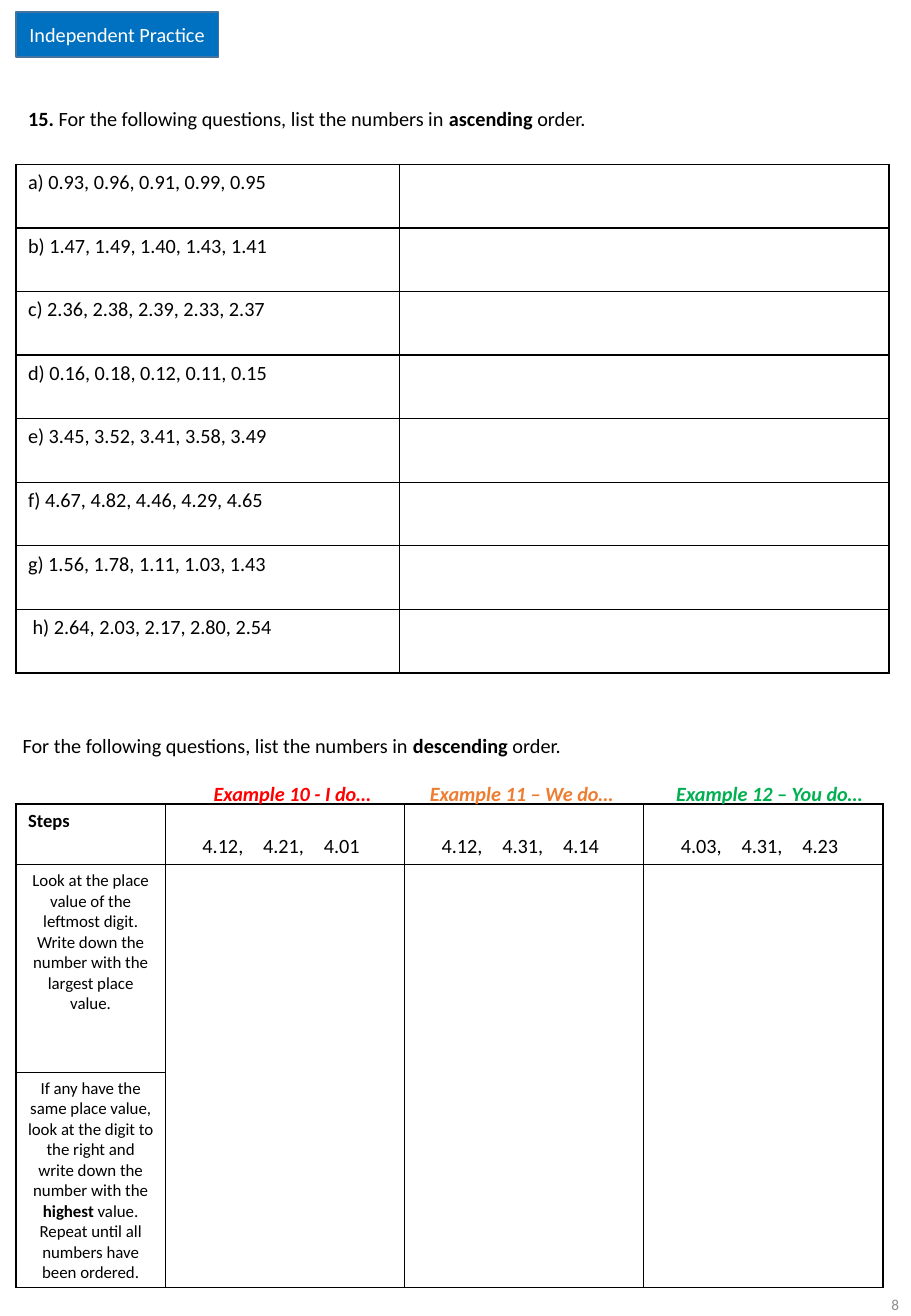
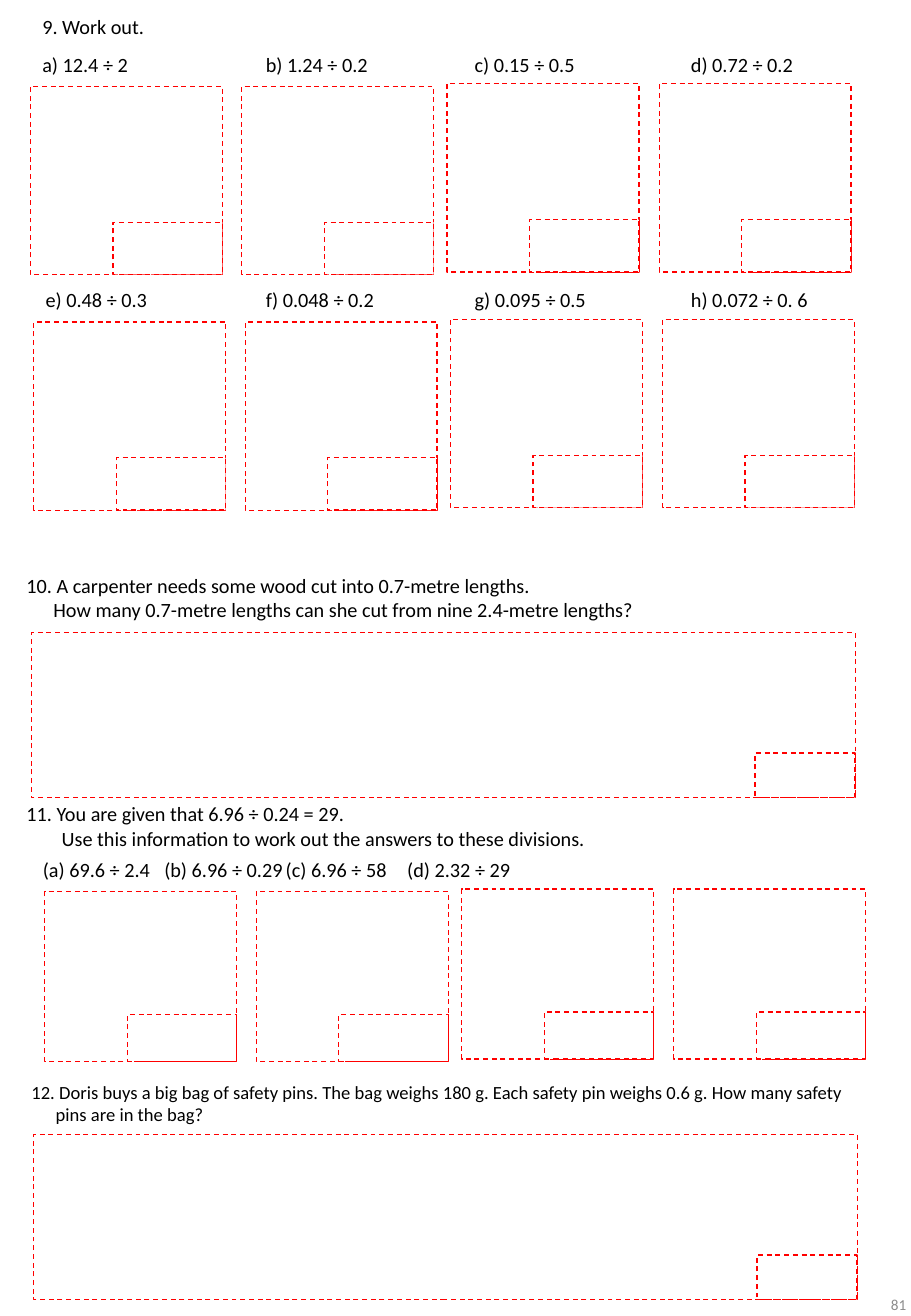
from dataclasses import dataclass

from lxml import etree
from pptx import Presentation
from pptx.dml.color import RGBColor
from pptx.enum import dml, shapes, text
from pptx.oxml import ns
from pptx.util import Pt


@dataclass(frozen=True)
class Theme:
    font: str = "Calibri"
    ink: str = "000000"
    paper: str = "FFFFFF"
    muted: str = "8C8C8C"
    badge: str = "0070C0"
    badge_line: str = "43739E"
    answer: str = "FF0000"
    i_do: str = "FF0000"
    we_do: str = "ED7D31"
    you_do: str = "00B050"
    body: float = 12
    small: float = 11
    step: float = 10
    page: float = 9


T = Theme()
LEFT, CENTER, RIGHT = text.PP_ALIGN.LEFT, text.PP_ALIGN.CENTER, text.PP_ALIGN.RIGHT
TOP, MIDDLE, BOTTOM = (text.MSO_ANCHOR.TOP, text.MSO_ANCHOR.MIDDLE,
                       text.MSO_ANCHOR.BOTTOM)


def rgb(value):
    return RGBColor.from_string(value)


# Text: "**" switches bold on and off
def write(p, content, size=T.body, color=T.ink, align=LEFT, bold=False,
          italic=False, margin=0, indent=0, tabs=()):
    pPr = p._p.get_or_add_pPr()
    pPr.set("marL", str(Pt(margin)))
    pPr.set("indent", str(Pt(indent)))
    if tabs:
        tab_list = etree.SubElement(pPr, ns.qn("a:tabLst"))
        for pos in tabs:
            etree.SubElement(tab_list, ns.qn("a:tab"), pos=str(Pt(pos)), algn="l")
    p.alignment = align
    for i, part in enumerate(content.split("**")):
        if not part:
            continue
        r = p.add_run()
        r.text = part
        font = {"name": T.font, "size": Pt(size), "bold": bold or i % 2 == 1,
                "italic": italic}
        for name, value in font.items():
            setattr(r.font, name, value)
        r.font.color.rgb = rgb(color)


def text_box(s, x, y, w, h, *paragraphs, anchor=TOP, **fmt):
    """Each paragraph is a string or a (string, paragraph format) pair."""
    tf = s.shapes.add_textbox(Pt(x), Pt(y), Pt(w), Pt(h)).text_frame
    tf.word_wrap = True
    tf.vertical_anchor = anchor
    for i, item in enumerate(paragraphs):
        content, extra = (item, {}) if isinstance(item, str) else item
        p = tf.add_paragraph() if i else tf.paragraphs[0]
        write(p, content, **{**fmt, **extra})


def page_number(s, x, number):
    text_box(s, x, 752.4, 121.7, 41.8, number, anchor=MIDDLE, size=T.page,
             color=T.muted, align=RIGHT)


# Rectangles
def rect(parent, x, y, w, h, fill, line, width, dash=None):
    sp = parent.shapes.add_shape(shapes.MSO_SHAPE.RECTANGLE,
                                 Pt(x), Pt(y), Pt(w), Pt(h))
    sp.shadow.inherit = False
    if fill:
        sp.fill.solid()
        sp.fill.fore_color.rgb = rgb(fill)
    else:
        sp.fill.background()
    sp.line.color.rgb = rgb(line)
    sp.line.width = Pt(width)
    if dash:
        sp.line.dash_style = dash
    return sp


def answer_panel(group, x, y, w, h, answer_w, answer_h, fill=None):
    """Working space with an answer box in its lower right corner."""
    for bw, bh in ((w, h), (answer_w, answer_h)):
        rect(group, x + w - bw, y + h - bh, bw, bh, fill, T.answer, 0.75,
             dml.MSO_LINE.DASH)


def panel_row(s, x, y, h, answer_h, fill=None):
    group = s.shapes.add_group_shape()
    for dx, dy in ((0, 0), (125.3, 0), (247, -1.5), (372.7, -1.5)):
        answer_panel(group, x + dx, y + dy, 113.8, h, 64.8, answer_h, fill)


def wide_panel(s, x, y):
    answer_panel(s.shapes.add_group_shape(), x, y, 488.2, 97.9, 59.3, 26.6)


# Tables
def table(s, x, y, cols, rows):
    frame = s.shapes.add_table(len(rows), len(cols), Pt(x), Pt(y),
                               Pt(sum(cols)), Pt(sum(rows)))
    tb = frame.table
    tb.first_row = tb.horz_banding = False
    for col, w in zip(tb.columns, cols):
        col.width = Pt(w)
    for row, h in zip(tb.rows, rows):
        row.height = Pt(h)
    return tb


def style_cell(cell, sides):
    """White cell with black lines on the given sides (of L, R, T, B)."""
    tcPr = cell._tc.get_or_add_tcPr()
    for side in "LRTB":
        ln = etree.SubElement(tcPr, ns.qn(f"a:ln{side}"), w=str(Pt(1)))
        if side in sides:
            fill = etree.SubElement(ln, ns.qn("a:solidFill"))
            etree.SubElement(fill, ns.qn("a:srgbClr"), val=T.ink)
        else:
            etree.SubElement(ln, ns.qn("a:noFill"))
    cell.fill.solid()
    cell.fill.fore_color.rgb = rgb(T.paper)


def style_table(tb, head_sides):
    """head_sides gives the lines of the leading rows; the rest are boxed."""
    for i, row in enumerate(tb.rows):
        for cell in row.cells:
            style_cell(cell, head_sides[i] if i < len(head_sides) else "LRTB")


def cell_text(cell, content, **fmt):
    write(cell.text_frame.paragraphs[0], content, **fmt)


def ordering_slide(prs):
    s = prs.slides.add_slide(prs.slide_layouts[6])
    page_number(s, 418.3, "8")

    # Ascending questions
    questions = ["a) 0.93, 0.96, 0.91, 0.99, 0.95", "b) 1.47, 1.49, 1.40, 1.43, 1.41",
                 "c) 2.36, 2.38, 2.39, 2.33, 2.37", "d) 0.16, 0.18, 0.12, 0.11, 0.15",
                 "e) 3.45, 3.52, 3.41, 3.58, 3.49", "f) 4.67, 4.82, 4.46, 4.29, 4.65",
                 "g) 1.56, 1.78, 1.11, 1.03, 1.43", " h) 2.64, 2.03, 2.17, 2.80, 2.54"]
    tb = table(s, 9.4, 28.1, [227.5, 290.2], [31.7] + [37.7] * 9)
    style_table(tb, ["", "B"])
    for i in range(2):
        tb.cell(i, 0).merge(tb.cell(i, 1))
    cell_text(tb.cell(1, 0), "**15. **For the following questions, list the numbers "
                             "in **ascending** order.")
    for i, question in enumerate(questions, 2):
        cell_text(tb.cell(i, 0), question)

    # Badge
    badge = rect(s, 9.4, 7.2, 120.2, 26.6, T.badge, T.badge_line, 1)
    tf = badge.text_frame
    tf.margin_left = tf.margin_right = Pt(3.6)
    tf.vertical_anchor = MIDDLE
    write(tf.paragraphs[0], "Independent Practice", color=T.paper, align=CENTER)

    # Descending examples
    tb = table(s, 9.4, 404.6, [88.6] + [141.8] * 3, [33.1, 38.9, 36, 123.1, 127.4])
    style_table(tb, ["", "B"])
    tb.cell(0, 0).merge(tb.cell(0, 3))
    tb.cell(1, 1).merge(tb.cell(1, 3))
    cell_text(tb.cell(2, 0), "Steps", size=T.small, bold=True)
    numbers = ["4.12,\t4.21,\t4.01", "4.12,\t4.31,\t4.14", "4.03,\t4.31,\t4.23"]
    for j, content in enumerate(numbers, 1):
        cell = tb.cell(2, j)
        cell.vertical_anchor = BOTTOM
        cell.margin_left = Pt(22)
        cell_text(cell, content, tabs=(38, 76))
        tb.cell(3, j).merge(tb.cell(4, j))
    steps = ["Look at the place value of the leftmost digit. Write down the number "
             "with the largest place value.",
             "If any have the same place value, look at the digit to the right and "
             "write down the number with the **highest** value. Repeat until all "
             "numbers have been ordered."]
    for i, step in enumerate(steps, 3):
        cell_text(tb.cell(i, 0), step, size=T.step, align=CENTER)

    # Headings above the examples
    for x, w, heading, color in ((119.5, 111, "Example 10 - I do…", T.i_do),
                                 (247.7, 130, "Example 11 – We do…", T.we_do),
                                 (393.8, 130, "Example 12 – You do…", T.you_do)):
        text_box(s, x, 459.4, w, 21.8, heading, color=color, bold=True, italic=True)
    text_box(s, 6.3, 430.9, 351, 36, "For the following questions, list the numbers "
                                     "in **descending** order.")


def division_slide(prs):
    s = prs.slides.add_slide(prs.slide_layouts[6])
    page_number(s, 422.6, "81")

    # Question 9
    text_box(s, 18, 5, 322, 21.8, "9. Work out.")
    rows = [(18, 27.4, 51.1, ["a) 12.4 ÷ 2", "b) 1.24 ÷ 0.2", "c) 0.15 ÷ 0.5",
                              "d) 0.72 ÷ 0.2"]),
            (20, 167, 190.8, ["e) 0.48 ÷ 0.3", "f) 0.048 ÷ 0.2", "g) 0.095 ÷ 0.5",
                              "h) 0.072 ÷ 0. 6"])]
    for left, label_y, panel_y, labels in rows:
        panel_row(s, left, panel_y, 111.6, 31, T.paper)
        for x, label in zip((left, 150.5, 274.3, 402.5), labels):
            text_box(s, x, label_y, 88, 21.8, label)

    # Question 10
    wide_panel(s, 18.7, 375)
    text_box(s, 8.6, 336.2, 454.3, 36,
             "10. A carpenter needs some wood cut into 0.7-metre lengths.",
             ("How many 0.7-metre lengths can she cut from nine 2.4-metre lengths?",
              {"margin": 16}))

    # Question 11
    text_box(s, 8.6, 471.6, 426.2, 36, "11. You are given that 6.96 ÷ 0.24 = 29.",
             ("Use this information to work out the answers to these divisions.",
              {"margin": 20.9}))
    panel_row(s, 26.6, 528.5, 100.8, 28)
    text_box(s, 18.3, 504.7, 507, 21.8,
             "(a) 69.6 ÷ 2.4\t(b) 6.96 ÷ 0.29\t(c) 6.96 ÷ 58\t(d) 2.32 ÷ 29",
             tabs=(100.2, 224, 350.8))

    # Question 12
    text_box(s, 11.5, 637.2, 505, 33.8,
             "12. Doris buys a big bag of safety pins. The bag weighs 180 g. Each "
             "safety pin weighs 0.6 g. How many safety pins are in the bag?",
             size=T.small, margin=14.4, indent=-14.4)
    wide_panel(s, 19.9, 672.5)


def main():
    prs = Presentation()
    prs.slide_width, prs.slide_height = Pt(540), Pt(780)
    ordering_slide(prs)
    division_slide(prs)
    prs.save("out.pptx")


if __name__ == "__main__":
    main()
